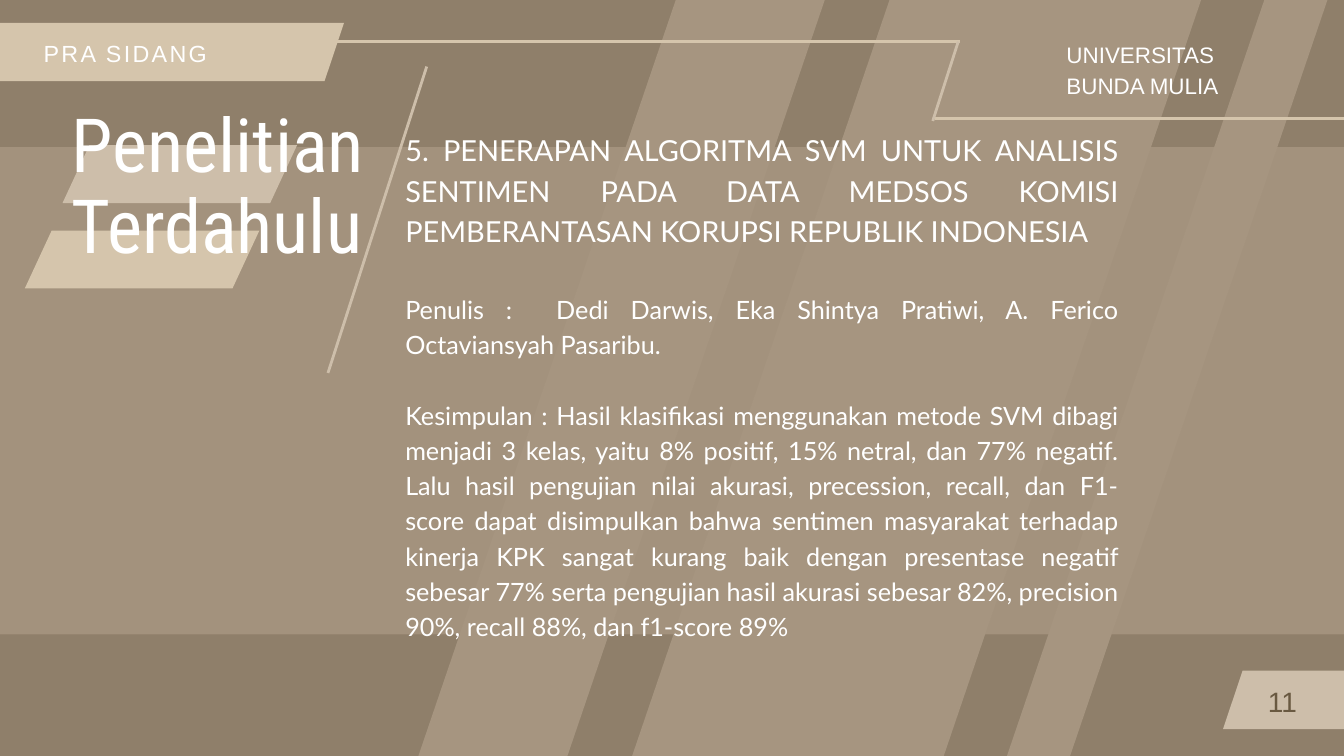
from dataclasses import dataclass

from lxml.etree import SubElement
from pptx import Presentation
from pptx.dml.color import RGBColor
from pptx.enum.shapes import MSO_CONNECTOR, MSO_SHAPE
from pptx.enum.text import MSO_ANCHOR, MSO_AUTO_SIZE, PP_ALIGN
from pptx.oxml.ns import qn
from pptx.util import Pt


@dataclass(frozen=True)
class Theme:
    """Colours, fonts and type sizes of the deck."""
    ground: str = "8F7F6A"
    stripe: str = "A69580"
    sand: str = "CDBEAA"
    cream: str = "D5C5AC"
    white: str = "FFFFFF"
    brown: str = "695941"
    title_font: str = "Roboto Condensed"
    body_font: str = "Lato"
    label_font: str = "Arial"
    title_size: float = 80
    heading_size: float = 31
    body_size: float = 27
    number_size: float = 30
    section_size: float = 25
    school_size: float = 24
    rule_width: float = 3


@dataclass(frozen=True)
class Box:
    """A rectangle in points."""
    left: float
    top: float
    width: float
    height: float

    def inner(self, left, top, width, height):
        """Return a box placed relative to this one."""
        return Box(self.left + left, self.top + top, width, height)

    def lengths(self):
        """Return the four lengths for python-pptx."""
        return Pt(self.left), Pt(self.top), Pt(self.width), Pt(self.height)


THEME = Theme()
HEADING = ("5. PENERAPAN ALGORITMA SVM UNTUK ANALISIS SENTIMEN PADA DATA MEDSOS "
           "KOMISI PEMBERANTASAN KORUPSI REPUBLIK INDONESIA")
AUTHORS = "Penulis :  Dedi Darwis, Eka Shintya Pratiwi, A. Ferico Octaviansyah Pasaribu."
CONCLUSION = (
    "Kesimpulan : Hasil klasifikasi menggunakan metode SVM dibagi menjadi 3 kelas, "
    "yaitu 8% positif, 15% netral, dan 77% negatif. Lalu hasil pengujian nilai akurasi, "
    "precession, recall, dan F1- score dapat disimpulkan bahwa sentimen masyarakat "
    "terhadap kinerja KPK sangat kurang baik dengan presentase negatif sebesar 77% serta "
    "pengujian hasil akurasi sebesar 82%, precision 90%, recall 88%, dan f1-score 89%")


def add_block(page, kind, box, color):
    """Add a flat, borderless preset shape."""
    block = page.shapes.add_shape(kind, *box.lengths())
    block.shadow.inherit = False
    block.fill.solid()
    block.fill.fore_color.rgb = RGBColor.from_string(color)
    block.line.fill.background()
    return block


def add_ribbon(page, box, color, slant):
    """Add a parallelogram whose top edge is shifted right by the slant."""
    ribbon = add_block(page, MSO_SHAPE.PARALLELOGRAM, box, color)
    ribbon.adjustments[0] = slant / box.height


def add_rule(page, box, start, end, color):
    """Add a straight line between two points of the box."""
    rule = page.shapes.add_connector(
        MSO_CONNECTOR.STRAIGHT, Pt(box.left + start[0]), Pt(box.top + start[1]),
        Pt(box.left + end[0]), Pt(box.top + end[1]))
    rule.line.color.rgb = RGBColor.from_string(color)
    rule.line.width = Pt(THEME.rule_width)
    SubElement(rule.element.spPr, qn("a:effectLst"))


def prepare_frame(frame):
    """Make a text frame wrap from its top edge, without margins."""
    frame.word_wrap = True
    frame.auto_size = MSO_AUTO_SIZE.NONE
    frame.vertical_anchor = MSO_ANCHOR.TOP
    frame.margin_left = frame.margin_top = frame.margin_right = frame.margin_bottom = 0


def write_line(para, text, font, size, color, leading, align=PP_ALIGN.LEFT, before=0):
    """Fill a paragraph with one formatted run."""
    para.alignment = align
    para.line_spacing = Pt(leading)
    para.space_before = Pt(before)
    span = para.add_run()
    span.text = text
    span.font.name = font
    span.font.size = Pt(size)
    span.font.color.rgb = RGBColor.from_string(color)
    return span


def add_text(page, box):
    """Add an empty text box and return its frame."""
    frame = page.shapes.add_textbox(*box.lengths()).text_frame
    prepare_frame(frame)
    return frame


def draw_backdrop(page, box):
    """Draw the ground, the slanted stripes and the translucent band."""
    page.background.fill.solid()
    page.background.fill.fore_color.rgb = RGBColor.from_string(THEME.ground)
    for stripe in ((588.2, -77, 151.2, 977), (824.4, -108.7, 316.1, 1025.3),
                   (1221.1, -107.3, 64.1, 1009.4)):
        add_block(page, MSO_SHAPE.RECTANGLE, box.inner(*stripe), THEME.stripe).rotation = 18.8
    band = add_block(page, MSO_SHAPE.RECTANGLE,
                     box.inner(-31.7, 157.7, box.width + 63.4, 522), THEME.stripe)
    color = band.element.spPr.find(qn("a:solidFill")).find(qn("a:srgbClr"))
    SubElement(color, qn("a:alpha")).set("val", "89000")


def draw_title(page, box):
    """Place the title over its two ribbons, with the slash beside it."""
    add_ribbon(page, box.inner(-50.4, 132.5, 251.3, 62), THEME.cream, 28.8)
    add_ribbon(page, box.inner(-10, 41, 251.3, 62), THEME.sand, 28.8)
    title = page.shapes.title
    title.element.getparent().append(title.element)
    title.left, title.top, title.width, title.height = box.lengths()
    prepare_frame(title.text_frame)
    write_line(title.text_frame.paragraphs[0], "Penelitian Terdahulu", THEME.title_font,
               THEME.title_size, THEME.white, 86.4)
    add_rule(page, box, (274.4, 285.1), (380.2, -43.2), THEME.sand)


def draw_study(page, box):
    """Write the study's heading, authors and conclusion."""
    frame = add_text(page, box)
    rows = ((HEADING, THEME.heading_size, 43.4, 0), (AUTHORS, THEME.body_size, 37.8, 43.4),
            (CONCLUSION, THEME.body_size, 37.8, 37.8))
    for index, (text, size, leading, before) in enumerate(rows):
        para = frame.add_paragraph() if index else frame.paragraphs[0]
        write_line(para, text, THEME.body_font, size, THEME.white, leading,
                   PP_ALIGN.JUSTIFY, before)


def draw_page_number(page, box):
    """Draw the page number on its corner ribbon."""
    add_ribbon(page, box, THEME.sand, 20.9)
    frame = add_text(page, box.inner(-26.6, 8.6, 105.8, 41))
    write_line(frame.paragraphs[0], "11", THEME.label_font, THEME.number_size,
               THEME.brown, 42, PP_ALIGN.RIGHT)


def draw_header(page, box):
    """Draw the section ribbon, the stepped rule and the school name."""
    add_ribbon(page, box.inner(-45.4, 0, 414, 62.6), THEME.cream, 20.9)
    section = add_text(page, box.inner(46.8, 12.2, 377.3, 33.8))
    span = write_line(section.paragraphs[0], "PRA SIDANG", THEME.label_font,
                      THEME.section_size, THEME.white, 35)
    span.font._element.set("spc", "250")
    add_rule(page, box, (349.9, 20.1), (1028.2, 20.1), THEME.cream)
    add_rule(page, box, (1001.5, 102.9), (1467.4, 102.9), THEME.cream)
    add_rule(page, box, (999.4, 105.1), (1026.7, 20.1), THEME.sand)
    school = add_text(page, box.inner(1142.6, 14.4, 270, 64.8))
    for index, text in enumerate(("UNIVERSITAS", "BUNDA MULIA")):
        para = school.add_paragraph() if index else school.paragraphs[0]
        write_line(para, text, THEME.label_font, THEME.school_size, THEME.white, 33.6,
                   PP_ALIGN.JUSTIFY)


def main():
    """Build the deck and save it."""
    deck = Presentation()
    deck.slide_width, deck.slide_height = Pt(1440), Pt(810)
    page = deck.slides.add_slide(deck.slide_layouts[5])
    draw_backdrop(page, Box(0, 0, 1440, 810))
    draw_title(page, Box(77, 114.5, 357.8, 176.4))
    draw_study(page, Box(434.2, 136.1, 763.9, 545.8))
    draw_page_number(page, Box(1310.4, 718.6, 185.8, 62.6))
    draw_header(page, Box(0, 24.5, 1440, 105.1))
    deck.save("out.pptx")


if __name__ == "__main__":
    main()
